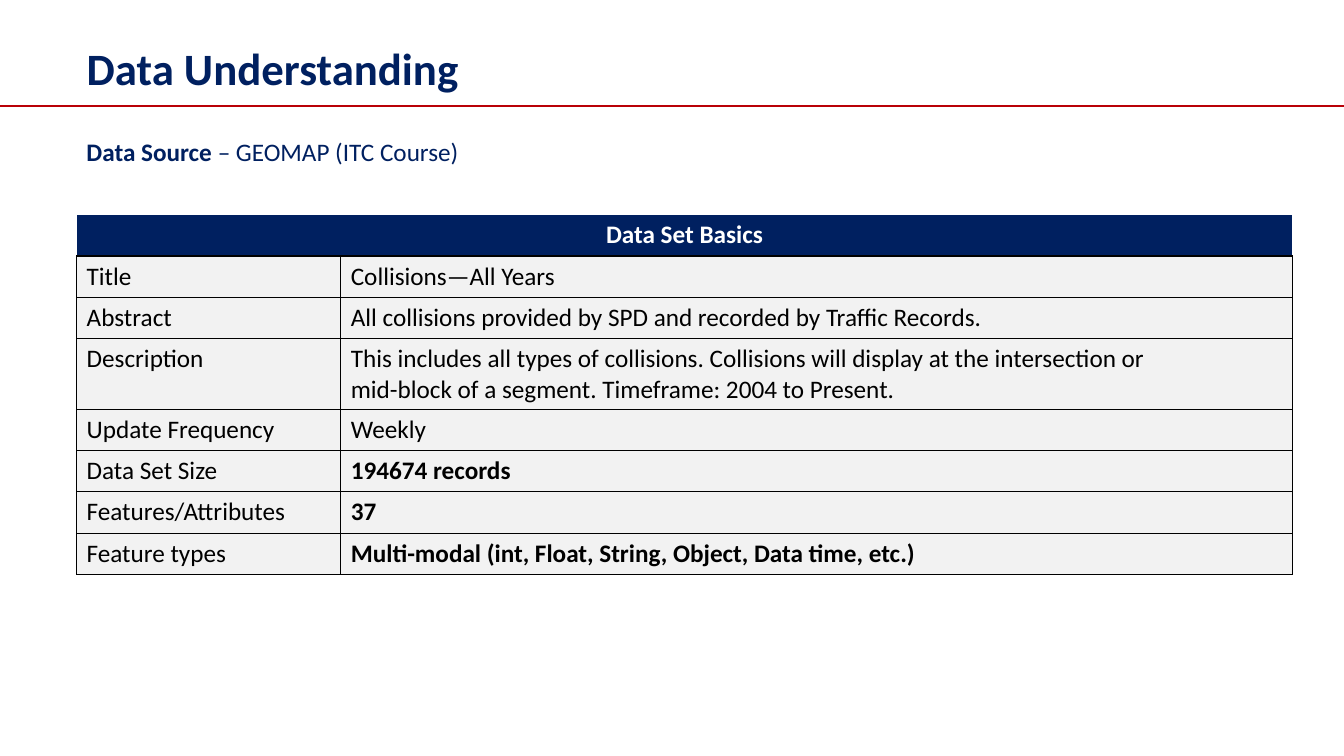
import pptx
import pptx.util
import pptx.dml.color
import pptx.enum.shapes
import pptx.enum.text
import pptx.oxml.ns
import lxml.etree

WIDTH, HEIGHT = pptx.util.Inches(13.33), pptx.util.Inches(7.5)
NAVY, RED, BLACK, WHITE, GREY = "002060", "B90007", "000000", "FFFFFF", "F2F2F2"
FONT = "Calibri"
MARGIN = pptx.util.Inches(0.76)
ROW = pptx.util.Inches(0.41)
TWO_LINE_ROW = pptx.util.Inches(0.69)
LABEL_WIDTH, VALUE_WIDTH = pptx.util.Inches(2.62), pptx.util.Inches(9.44)

# label, lines of the value, bold value
BASICS = [
    ("Title", ["Collisions—All Years"], False),
    ("Abstract", ["All collisions provided by SPD and recorded by Traffic Records."], False),
    ("Description", [
        "This includes all types of collisions. Collisions will display at the intersection or",
        "mid-block of a segment. Timeframe: 2004 to Present."], False),
    ("Update Frequency", ["Weekly"], False),
    ("Data Set Size", ["194674 records"], True),
    ("Features/Attributes", ["37"], True),
    ("Feature types", ["Multi-modal (int, Float, String, Object, Data time, etc.)"], True),
]


def rgb(code):
    return pptx.dml.color.RGBColor.from_string(code)


def add_run(paragraph, text, color, size=18, bold=False):
    run = paragraph.add_run()
    run.text = text
    run.font.name = FONT
    run.font.size = pptx.util.Pt(size)
    run.font.bold = bold
    run.font.color.rgb = rgb(color)


def add_heading(slide):
    heading = slide.shapes.title
    heading.left, heading.top = MARGIN, pptx.util.Inches(0.35)
    heading.width, heading.height = pptx.util.Inches(9.73), pptx.util.Inches(0.64)
    frame = heading.text_frame
    frame.auto_size = pptx.enum.text.MSO_AUTO_SIZE.NONE
    frame.vertical_anchor = pptx.enum.text.MSO_ANCHOR.MIDDLE
    frame.paragraphs[0].alignment = pptx.enum.text.PP_ALIGN.LEFT
    add_run(frame.paragraphs[0], "Data Understanding", NAVY, size=32, bold=True)


def add_rule(slide, y):
    rule = slide.shapes.add_connector(
        pptx.enum.shapes.MSO_CONNECTOR.STRAIGHT, 0, y, WIDTH, y)
    rule.line.color.rgb = rgb(RED)
    rule.line.width = pptx.util.Pt(1.5)
    properties = rule._element.spPr
    lxml.etree.SubElement(properties, pptx.oxml.ns.qn("a:effectLst"))


def add_source_line(slide):
    box = slide.shapes.add_textbox(
        MARGIN, pptx.util.Inches(1.3), pptx.util.Inches(5.34), pptx.util.Inches(0.4))
    box.text_frame.word_wrap = True
    paragraph = box.text_frame.paragraphs[0]
    add_run(paragraph, "Data Source ", NAVY, bold=True)
    add_run(paragraph, "– GEOMAP (ITC Course)", NAVY)


def style_cell(cell, fill, edges):
    """Set the fill and the left, right, top and bottom border colours."""
    properties = cell._tc.get_or_add_tcPr()
    for side, color in zip("LRTB", edges):
        border = lxml.etree.SubElement(
            properties, pptx.oxml.ns.qn("a:ln" + side), w=str(pptx.util.Pt(1)))
        solid = lxml.etree.SubElement(border, pptx.oxml.ns.qn("a:solidFill"))
        lxml.etree.SubElement(solid, pptx.oxml.ns.qn("a:srgbClr"), val=color)
    cell.fill.solid()
    cell.fill.fore_color.rgb = rgb(fill)


def write_lines(cell, lines, bold=False):
    frame = cell.text_frame
    for index, line in enumerate(lines):
        paragraph = frame.add_paragraph() if index else frame.paragraphs[0]
        add_run(paragraph, line, BLACK, bold=bold)


def add_basics_table(slide):
    table = slide.shapes.add_table(
        len(BASICS) + 1, 2, MARGIN, pptx.util.Inches(2.13),
        LABEL_WIDTH + VALUE_WIDTH, ROW * (len(BASICS) + 1)).table
    table.columns[0].width, table.columns[1].width = LABEL_WIDTH, VALUE_WIDTH

    header = table.cell(0, 0)
    header.merge(table.cell(0, 1))
    for cell in table.rows[0].cells:
        style_cell(cell, NAVY, [WHITE, WHITE, WHITE, BLACK])
    header.vertical_anchor = pptx.enum.text.MSO_ANCHOR.MIDDLE
    title = header.text_frame.paragraphs[0]
    title.alignment = pptx.enum.text.PP_ALIGN.CENTER
    add_run(title, "Data Set Basics", WHITE, bold=True)
    table.rows[0].height = ROW

    for index, (label, lines, bold) in enumerate(BASICS, start=1):
        table.rows[index].height = ROW if len(lines) == 1 else TWO_LINE_ROW
        label_cell, value_cell = table.rows[index].cells
        write_lines(label_cell, [label])
        write_lines(value_cell, lines, bold)
        for cell in (label_cell, value_cell):
            style_cell(cell, GREY, [BLACK] * 4)


def main():
    deck = pptx.Presentation()
    deck.slide_width, deck.slide_height = WIDTH, HEIGHT
    slide = deck.slides.add_slide(deck.slide_layouts.get_by_name("Title Only"))
    add_rule(slide, round(HEIGHT * 0.14))
    add_heading(slide)
    add_source_line(slide)
    add_basics_table(slide)
    deck.save("out.pptx")


if __name__ == "__main__":
    main()
